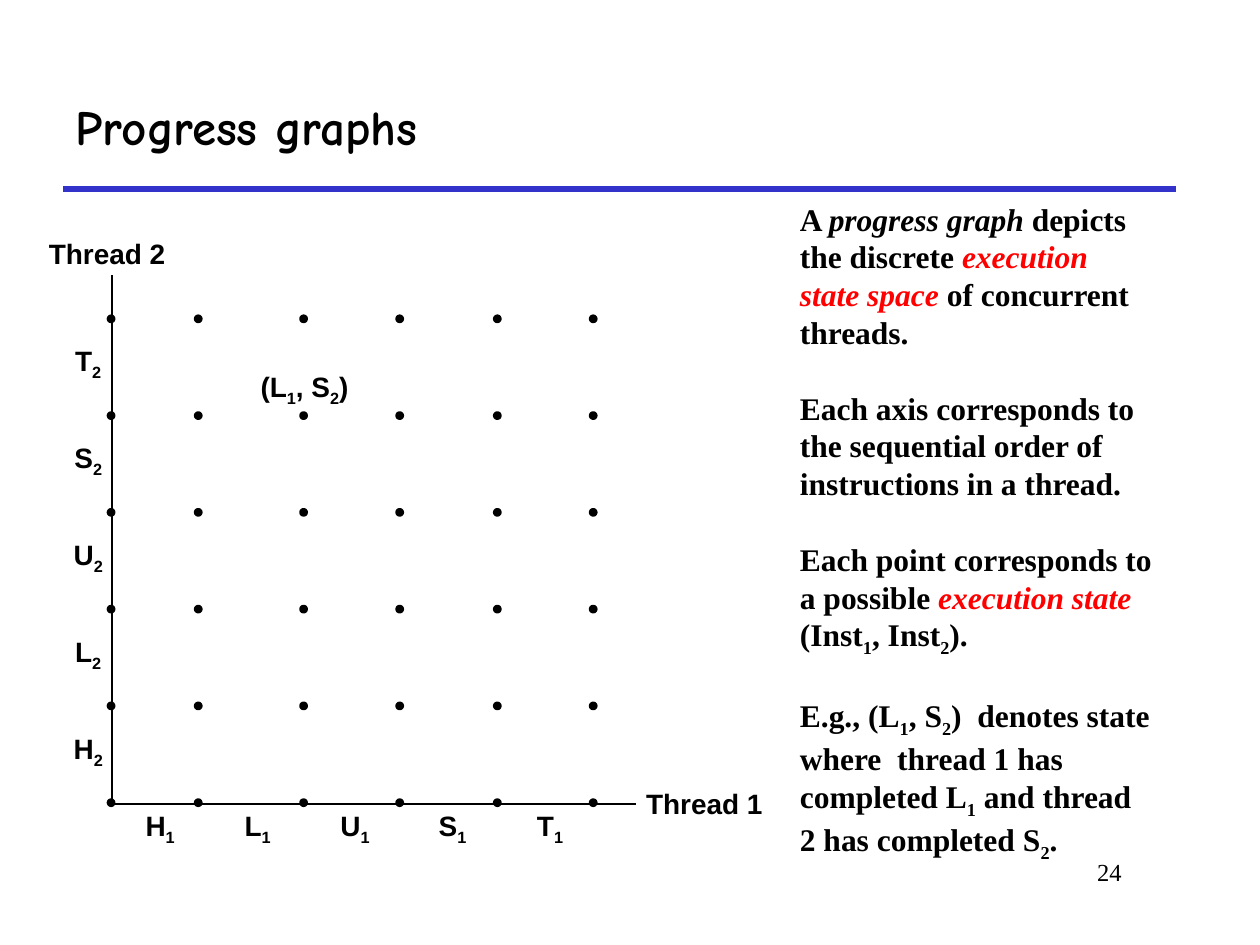
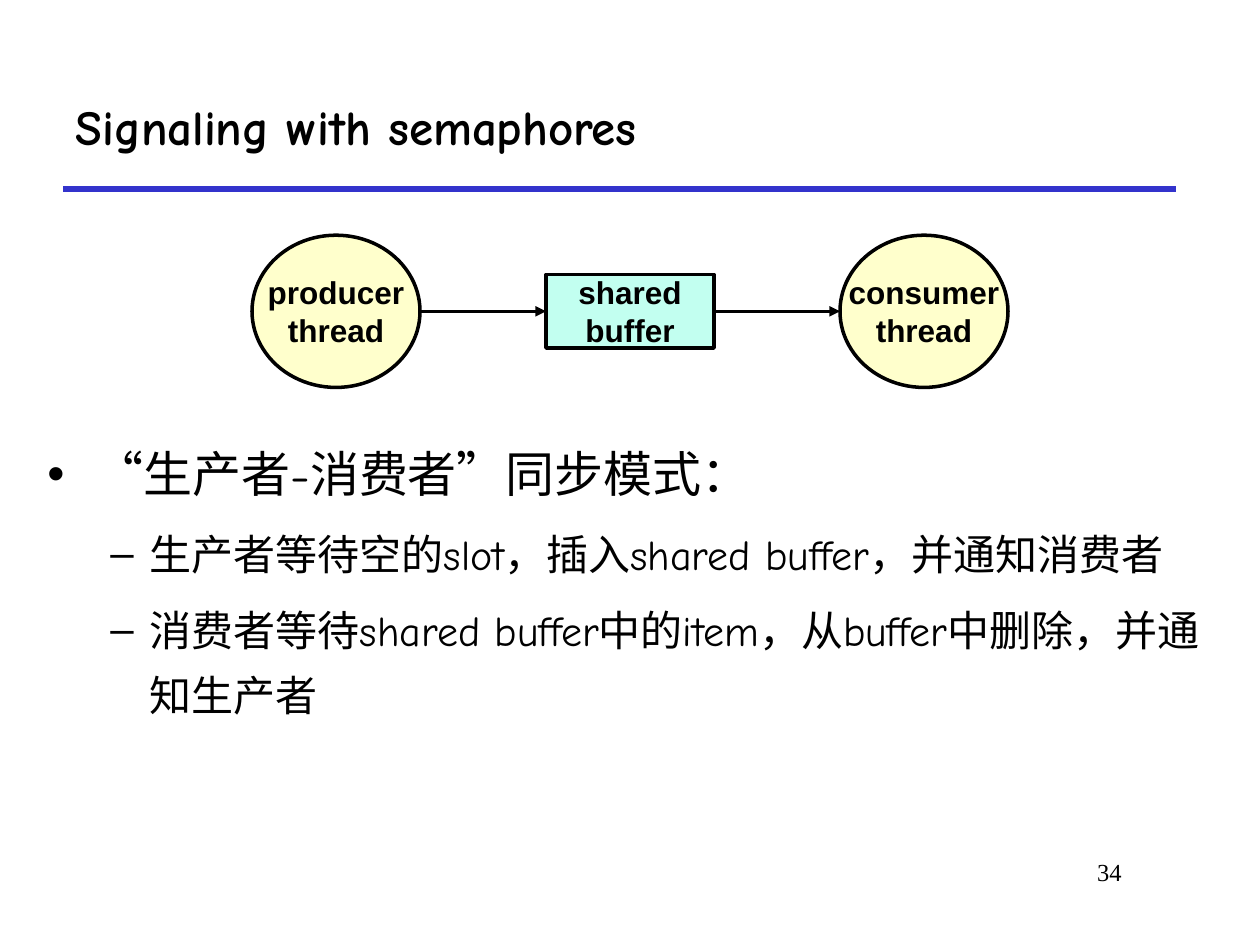
"""Build two slides on thread progress graphs and semaphore signaling."""
import pptx
import pptx.dml.color
import pptx.enum.shapes
import pptx.enum.text
import pptx.oxml
import pptx.oxml.ns
import pptx.util

Pt = pptx.util.Pt
SHAPE = pptx.enum.shapes.MSO_SHAPE
ALIGN = pptx.enum.text.PP_ALIGN
MIDDLE = pptx.enum.text.MSO_ANCHOR.MIDDLE

COLORS = {
    "ink": "000000",
    "rule": "3333CC",
    "accent": "FF0000",
    "thread": "FFFFCC",
    "buffer": "C2FFF0",
}
COMIC, SANS, SERIF = "Comic Neue", "Arial", "Times New Roman"

NOTES = [
    [
        [("A ", ""), ("progress graph", "italic"), (" depicts", "")],
        [("the discrete ", ""), ("execution", "key")],
        [("state space", "key"), (" of concurrent", "")],
        [("threads.", "")],
    ],
    [
        [("Each axis corresponds to", "")],
        [("the sequential order of", "")],
        [("instructions in a thread.", "")],
    ],
    [
        [("Each point corresponds to", "")],
        [("a possible ", ""), ("execution state", "key")],
        [("(Inst", ""), ("1", "sub"), (", Inst", ""), ("2", "sub"), (").", "")],
    ],
    [
        [("E.g., (L", ""), ("1", "sub"), (", S", ""), ("2", "sub"), (")  denotes state", "")],
        [("where  thread 1 has", "")],
        [("completed L", ""), ("1", "sub"), (" and thread", "")],
        [("2 has completed S", ""), ("2", "sub"), (".", "")],
    ],
]
STATE = [("(L", ""), ("1", "sub"), (", S", ""), ("2", "sub"), (")", "")]
STEPS = "HLUST"
BULLETS = [
    ("“生产者-消费者”同步模式：", "•", 28, 27, 27, 7),
    ("生产者等待空的slot，插入shared buffer，并通知消费者", "–", 24, 58.5, 22.5, 6),
    ("消费者等待shared buffer中的item，从buffer中删除，并通知生产者", "–", 24, 58.5, 22.5, 6),
]


def paint(name):
    return pptx.dml.color.RGBColor.from_string(COLORS[name])


def style(para, font, size, bold=False):
    for run in para.runs:
        run.font.name = font
        run.font.size = Pt(size)
        run.font.bold = bold
        run.font.color.rgb = paint("ink")


def fill_rich(para, parts, size, font):
    for text, _ in parts:
        para.add_run().text = text
    style(para, font, size, True)
    for run, (_, kind) in zip(para.runs, parts):
        if kind in ("italic", "key"):
            run.font.italic = True
        if kind == "key":
            run.font.color.rgb = paint("accent")
        if kind == "sub":
            run.font._element.set("baseline", "-25000")


def add_box(slide, left, top, width, height, wrap=True):
    frame = slide.shapes.add_textbox(Pt(left), Pt(top), Pt(width), Pt(height)).text_frame
    frame.word_wrap = wrap
    return frame


def add_label(slide, x, y, parts, width=40):
    height = 30
    frame = add_box(slide, x - width / 2, y - height / 2, width, height, False)
    frame.vertical_anchor = MIDDLE
    para = frame.paragraphs[0]
    para.alignment = ALIGN.CENTER
    fill_rich(para, parts, 16, SANS)


def make_node(tag, **attrs):
    space = pptx.oxml.ns.nsdecls("a")
    node = pptx.oxml.parse_xml(f"<a:{tag} {space}/>")
    for key, value in attrs.items():
        node.set(key, value)
    return node


def add_line(slide, start, end, color="ink", weight=1.0, arrow=False):
    kind = pptx.enum.shapes.MSO_CONNECTOR.STRAIGHT
    line = slide.shapes.add_connector(kind, *(Pt(v) for v in start + end))
    line.line.color.rgb = paint(color)
    line.line.width = Pt(weight)
    if arrow:
        line.line._get_or_add_ln().append(make_node("tailEnd", type="triangle"))
    line._element.spPr.append(make_node("effectLst"))
    return line


def add_shape(slide, kind, left, top, width, height, color):
    shape = slide.shapes.add_shape(kind, Pt(left), Pt(top), Pt(width), Pt(height))
    shape.shadow.inherit = False
    shape.fill.solid()
    shape.fill.fore_color.rgb = paint(color)
    shape.line.color.rgb = paint("ink")
    shape.line.width = Pt(2)
    return shape


def add_node(slide, kind, left, mid, height, color, text):
    shape = add_shape(slide, kind, left, mid - height / 2, 96, height, color)
    frame = shape.text_frame
    frame.word_wrap = False
    frame.margin_top = frame.margin_bottom = 0
    frame.vertical_anchor = MIDDLE
    frame.text = text
    for para in frame.paragraphs:
        para.alignment = ALIGN.CENTER
        style(para, SANS, 18, True)
    return shape


def add_dot(slide, x, y):
    add_shape(slide, SHAPE.OVAL, x - 1.5, y - 1.5, 3, 3, "ink")


def add_slide(deck, title, number):
    slide = deck.slides.add_slide(deck.slide_layouts[5])
    head = slide.shapes.title
    head.left, head.top, head.width, head.height = Pt(36), Pt(36), Pt(636), Pt(72)
    head.text_frame.text = title
    head.text_frame.vertical_anchor = MIDDLE
    head.text_frame.paragraphs[0].alignment = ALIGN.LEFT
    style(head.text_frame.paragraphs[0], COMIC, 28, True)
    add_line(slide, (36, 108), (672, 108), "rule", 3)
    foot = add_box(slide, 546, 486, 102, 36)
    foot.text = number
    foot.paragraphs[0].alignment = ALIGN.RIGHT
    style(foot.paragraphs[0], SERIF, 14)
    return slide


def add_notes(slide):
    frame = add_box(slide, 450, 110, 240, 387)
    frame.vertical_anchor = MIDDLE
    para = None
    for block in NOTES:
        for row, parts in enumerate(block):
            first = para is None
            para = frame.paragraphs[0] if first else frame.add_paragraph()
            if row == 0 and not first:
                para.space_before = Pt(21.6)
            fill_rich(para, parts, 18, SERIF)


def add_graph(slide):
    left, base = 64, 459.4
    add_line(slide, (left, base), (363.6, base))
    add_line(slide, (left, base), (left, 157))
    for x in (63.5, 113.3, 173.5, 228.4, 284.2, 339):
        for row in range(6):
            add_dot(slide, x, 182.2 + 55.3 * row)
    for i, step in enumerate(STEPS):
        add_label(slide, 91.5 + 55.7 * i, 472.7, [(step, ""), ("1", "sub")])
        add_label(slide, 50.4, 428.8 - 55.4 * i, [(step, ""), ("2", "sub")])
    add_label(slide, 402.5, 459, [("Thread 1", "")], 100)
    add_label(slide, 61.2, 145, [("Thread 2", "")], 100)
    add_label(slide, 174, 222, STATE, 100)


def add_flow(slide):
    mid = 177.9
    add_node(slide, SHAPE.OVAL, 144, mid, 87, "thread", "producer\nthread")
    store = add_node(slide, SHAPE.RECTANGLE, 312, mid, 42, "buffer", "shared\nbuffer")
    add_node(slide, SHAPE.OVAL, 480, mid, 87, "thread", "consumer\nthread")
    add_line(slide, (240, mid), (312, mid), weight=2, arrow=True).end_connect(store, 1)
    add_line(slide, (408, mid), (480, mid), weight=2, arrow=True).begin_connect(store, 3)


def add_bullets(slide):
    frame = add_box(slide, 20, 240, 686, 258)
    frame.text = "\n".join(item[0] for item in BULLETS)
    for i, (para, item) in enumerate(zip(frame.paragraphs, BULLETS)):
        _, mark, size, left, hang, gap = item
        para.line_spacing = 1.3
        para.space_before = Pt(gap if i else 0)
        props = para._p.get_or_add_pPr()
        props.set("marL", str(Pt(left)))
        props.set("indent", str(-Pt(hang)))
        props.append(make_node("buFont", typeface=SANS))
        props.append(make_node("buChar", char=mark))
        style(para, COMIC, size)


def main():
    deck = pptx.Presentation()
    deck.slide_width, deck.slide_height = Pt(720), Pt(540)
    graph = add_slide(deck, "Progress graphs", "24")
    add_notes(graph)
    add_graph(graph)
    signal = add_slide(deck, "Signaling with semaphores", "34")
    add_bullets(signal)
    add_flow(signal)
    deck.save("out.pptx")


if __name__ == "__main__":
    main()
